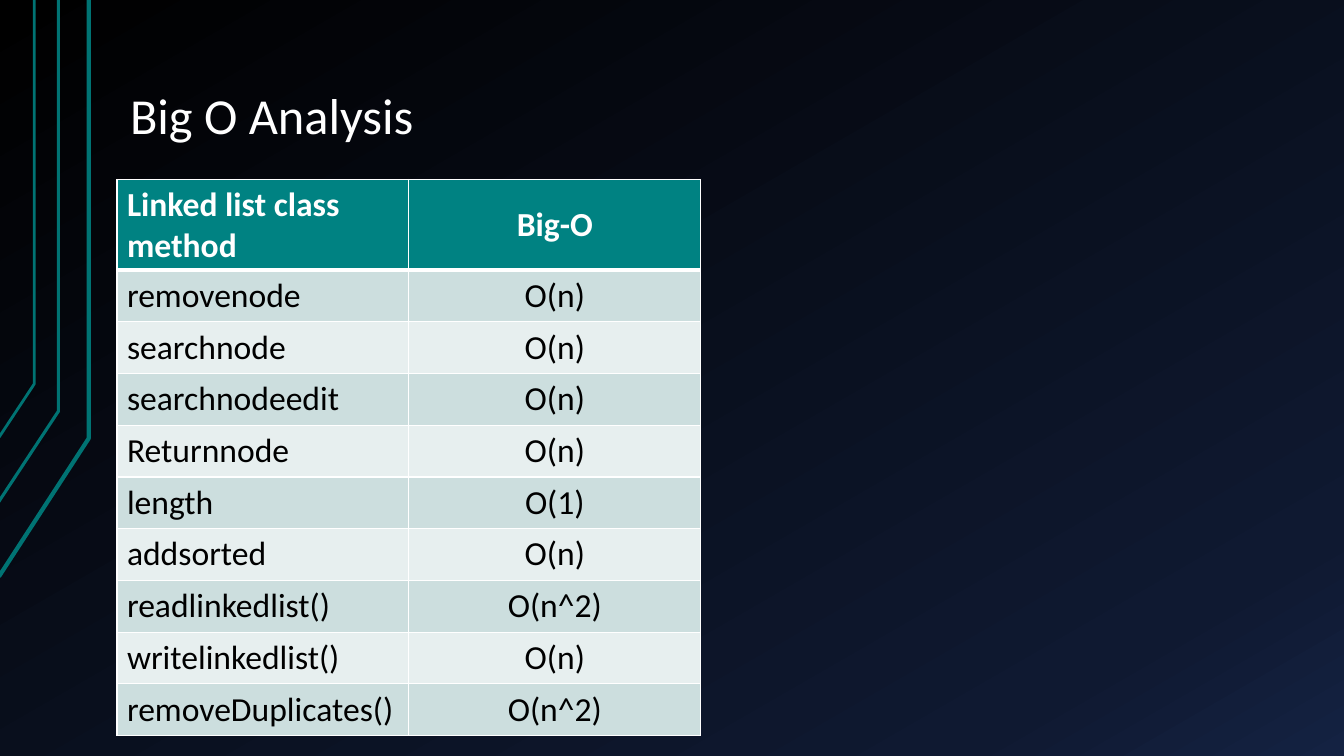
from copy import deepcopy
from dataclasses import dataclass

from lxml import etree
from pptx import Presentation
from pptx.dml.color import RGBColor
from pptx.enum.text import MSO_ANCHOR, PP_ALIGN
from pptx.oxml.ns import qn
from pptx.util import Inches, Pt

LEFT, CENTER = PP_ALIGN.LEFT, PP_ALIGN.CENTER
MIDDLE, BOTTOM = MSO_ANCHOR.MIDDLE, MSO_ANCHOR.BOTTOM

SLIDE_W, SLIDE_H = Inches(13.33), Inches(7.5)
FONT = "Calibri"
WHITE, BLACK = "FFFFFF", "000000"
TEAL, HEADER_TEAL = "007373", "008282"
BANDS = ("CCDEDE", "E7EFEF")
BACKDROP = ((0, BLACK), (0.85, "0F1931"), (1, "142242"))

# Shares of the slide, in percent
CONTENT_LEFT = 8.7
COLUMN_W = 21.72
HEADER_H, ROW_H = 12, 6.84


@dataclass
class Trace:
    """A line that falls from the top edge, then bends to the left edge."""
    x: float
    bend_y: float
    end_x: float
    end_y: float
    weight: float


@dataclass
class Method:
    name: str
    cost: str


TRACES = (
    Trace(6.6, 58, -0.08, 76.27, 3),
    Trace(4.35, 54.4, -0.15, 66.53, 2.25),
    Trace(2.55, 50.8, -0.08, 57.87, 2),
)

HEADER = Method("Linked list class method", "Big-O")
METHODS = (
    Method("removenode", "O(n)"),
    Method("searchnode", "O(n)"),
    Method("searchnodeedit", "O(n)"),
    Method("Returnnode", "O(n)"),
    Method("length", "O(1)"),
    Method("addsorted", "O(n)"),
    Method("readlinkedlist()", "O(n^2)"),
    Method("writelinkedlist()", "O(n)"),
    Method("removeDuplicates()", "O(n^2)"),
)


def across(percent: float) -> int:
    return round(SLIDE_W * percent / 100)


def down(percent: float) -> int:
    return round(SLIDE_H * percent / 100)


def color(hex_code: str) -> RGBColor:
    return RGBColor.from_string(hex_code)


def write(frame, text: str, *, size: float, ink: str, bold: bool = False,
          align=LEFT, spacing: float = 1.0) -> None:
    frame.word_wrap = True
    paragraph = frame.paragraphs[0]
    paragraph.alignment = align
    paragraph.line_spacing = spacing
    run = paragraph.add_run()
    run.text = text
    run.font.name = FONT
    run.font.size = Pt(size)
    run.font.bold = bold
    run.font.color.rgb = color(ink)


def paint_backdrop(slide) -> None:
    fill = slide.background.fill
    fill.gradient()
    fill.gradient_angle = 300
    stop_list = next(slide.element.iter(qn("a:gsLst")))
    stop_list.append(deepcopy(stop_list[-1]))
    for stop, (position, hex_code) in zip(fill.gradient_stops, BACKDROP):
        stop.position = position
        stop.color.rgb = color(hex_code)


def draw_trace(slide, trace: Trace) -> None:
    builder = slide.shapes.build_freeform(across(trace.end_x), down(trace.end_y))
    bend_and_top = [(across(trace.x), down(trace.bend_y)), (across(trace.x), 0)]
    builder.add_line_segments(bend_and_top, close=False)
    outline = builder.convert_to_shape()
    outline.shadow.inherit = False
    outline.fill.background()
    outline.line.color.rgb = color(TEAL)
    outline.line.width = Pt(trace.weight)


def draw_title(slide, text: str) -> None:
    title = slide.shapes.add_textbox(across(CONTENT_LEFT), down(2.27), across(85), down(17.87))
    frame = title.text_frame
    frame.vertical_anchor = BOTTOM
    frame.margin_left = frame.margin_right = Inches(0.13)
    frame.margin_top = frame.margin_bottom = Inches(0.07)
    write(frame, text, size=36, ink=WHITE, spacing=0.9)


def set_borders(cell, bottom_weight: float) -> None:
    properties = cell.fill and cell._tc.get_or_add_tcPr()
    weights = {"a:lnL": 1, "a:lnR": 1, "a:lnT": 1, "a:lnB": bottom_weight}
    for index, (side, weight) in enumerate(weights.items()):
        border = etree.Element(qn(side), w=str(Pt(weight)))
        solid = etree.SubElement(border, qn("a:solidFill"))
        etree.SubElement(solid, qn("a:srgbClr"), val=WHITE)
        properties.insert(index, border)


def draw_table(slide) -> None:
    entries = (HEADER, *METHODS)
    height = HEADER_H + ROW_H * len(METHODS)
    table = slide.shapes.add_table(
        len(entries), 2, across(CONTENT_LEFT), down(23.73),
        across(2 * COLUMN_W), down(height)).table
    for column in table.columns:
        column.width = across(COLUMN_W)
    for row, entry in enumerate(entries):
        is_header = row == 0
        table.rows[row].height = down(HEADER_H if is_header else ROW_H)
        band = HEADER_TEAL if is_header else BANDS[(row - 1) % 2]
        for column, (text, align) in enumerate(((entry.name, LEFT), (entry.cost, CENTER))):
            cell = table.cell(row, column)
            cell.vertical_anchor = MIDDLE
            cell.fill.solid()
            cell.fill.fore_color.rgb = color(band)
            set_borders(cell, 3 if is_header else 1)
            write(cell.text_frame, text, size=24, ink=WHITE if is_header else BLACK,
                  bold=is_header, align=align)


def main() -> None:
    deck = Presentation()
    deck.slide_width, deck.slide_height = SLIDE_W, SLIDE_H
    slide = deck.slides.add_slide(deck.slide_layouts[6])

    # Backdrop with bent lines
    paint_backdrop(slide)
    for trace in TRACES:
        draw_trace(slide, trace)

    # Title and complexity table
    draw_title(slide, "Big O Analysis")
    draw_table(slide)

    deck.save("out.pptx")


if __name__ == "__main__":
    main()
